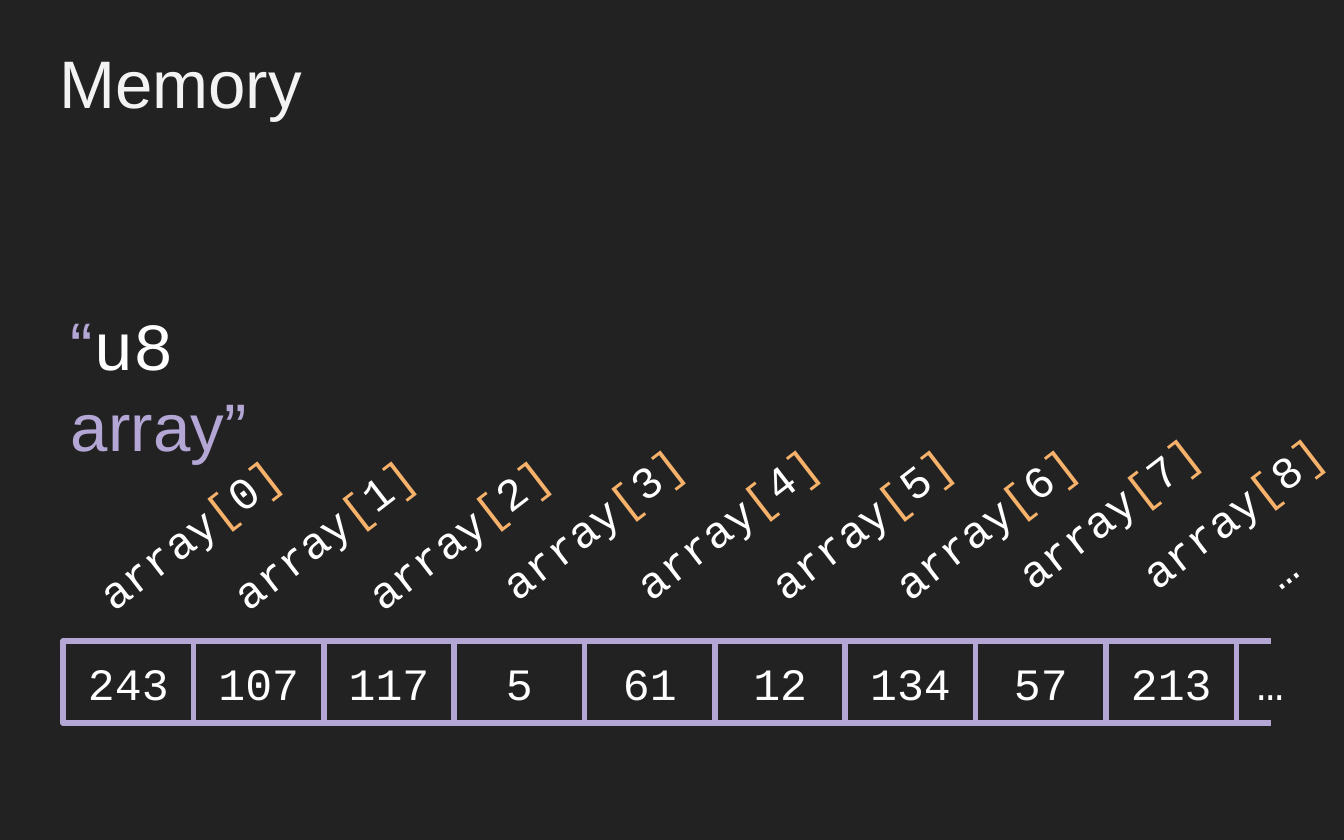
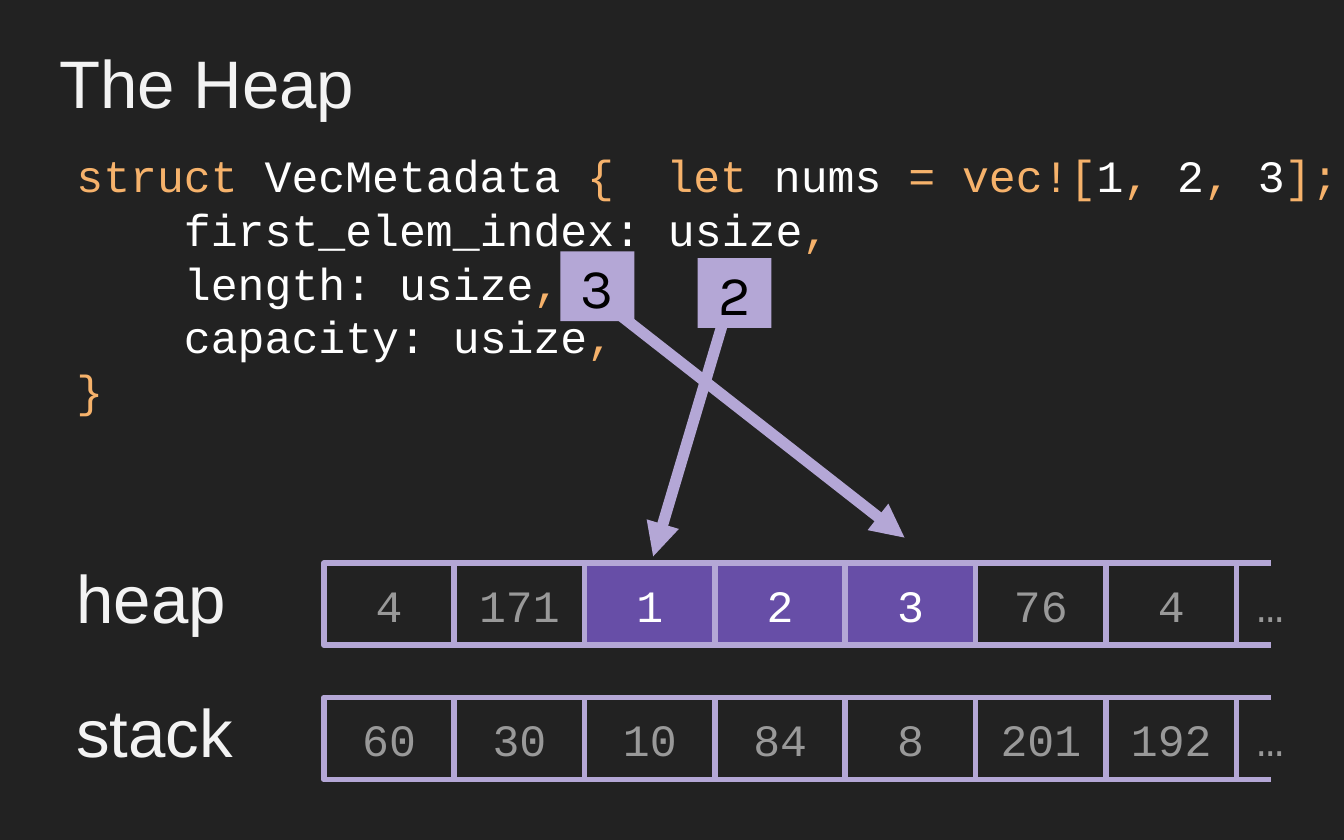
from pptx import Presentation
from pptx import util as u
from pptx.dml.color import RGBColor
from pptx.enum import shapes, text
from pptx.oxml.ns import qn
from lxml import etree

# Content
ARRAY_BYTES = ["243", "107", "117", "5", "61", "12", "134", "57", "213"]
ARRAY_LABELS = [f"|array|[|{i}|]" for i in range(len(ARRAY_BYTES))] + ["|…"]
MEMORY_ROWS = [  # label, bytes, columns in use, top
    ("heap", ["4", "171", "1", "2", "3", "76", "4"], {2, 3, 4}, 4.19),
    ("stack", ["60", "30", "10", "84", "8", "201", "192"], set(), 5.19),
]
# Code alternates between keyword and plain colour at each bar
STRUCT_CODE = [
    "struct |VecMetadata |{",
    "|    first_elem_index: usize|,",
    "|    length: usize|,",
    "|    capacity: usize|,",
    "}",
]
LET_CODE = ["let |nums |= vec![|1|,| 2|,| 3|];"]
ARROWS = [((4.34, 2.13), (6.73, 4)), ((5.48, 2.06), (4.86, 4.14))]
BADGES = [("2", 5.19, 1.92), ("3", 4.17, 1.87)]

# Style
COLORS = {
    "background": "222222", "title": "F3F3F3", "plain": "FFFFFF",
    "keyword": "F6B26B", "accent": "B4A7D6", "used": "674EA7",
    "muted": "999999", "badge": "000000",
}
HEADING = {"name": "Arial", "size": u.Pt(36)}
MONO = {"name": "Courier New", "size": u.Pt(24)}
BADGE = {"name": "Karla", "size": u.Pt(30)}
LEFT, CELL_W, CELL_H = 0.47, 0.97, 0.61
COLUMNS = 9
ROW_END = LEFT + COLUMNS * CELL_W


def color(name):
    return RGBColor.from_string(COLORS[name])


def inches(*lengths):
    return [u.Inches(length) for length in lengths]


def write(shape, paragraphs, centered=False):
    """Fill a shape with paragraphs of (words, colour, font) runs."""
    frame = shape.text_frame
    middle = text.MSO_ANCHOR.MIDDLE if centered else text.MSO_ANCHOR.TOP
    settings = {"word_wrap": True, "auto_size": text.MSO_AUTO_SIZE.NONE,
                "vertical_anchor": middle}
    for side in ("left", "top", "right", "bottom"):
        settings[f"margin_{side}"] = u.Inches(0.1)
    for key, value in settings.items():
        setattr(frame, key, value)
    for i, runs in enumerate(paragraphs):
        paragraph = frame.add_paragraph() if i else frame.paragraphs[0]
        paragraph.alignment = text.PP_ALIGN.CENTER if centered else text.PP_ALIGN.LEFT
        for words, tone, font in runs:
            run = paragraph.add_run()
            run.text = words
            run.font.color.rgb = color(tone)
            for key, value in font.items():
                setattr(run.font, key, value)


def add_text(parent, box, paragraphs, centered=False):
    label = parent.shapes.add_textbox(*inches(*box))
    write(label, paragraphs, centered)
    return label


def code_runs(line):
    return [(part, ("keyword", "plain")[i % 2], MONO)
            for i, part in enumerate(line.split("|")) if part]


def add_code(slide, box, lines):
    return add_text(slide, box, [code_runs(line) for line in lines])


def add_box(slide, box, words, tone, font, fill=None, outlined=True):
    cell = slide.shapes.add_shape(shapes.MSO_SHAPE.RECTANGLE, *inches(*box))
    cell.shadow.inherit = False
    if fill:
        cell.fill.solid()
        cell.fill.fore_color.rgb = color(fill)
    else:
        cell.fill.background()
    if outlined:
        cell.line.color.rgb = color("accent")
        cell.line.width = u.Pt(3)
    else:
        cell.line.fill.background()
    write(cell, [[(words, tone, font)]], centered=True)


def add_line(parent, start, end, width, arrow=False):
    line = parent.shapes.add_connector(
        shapes.MSO_CONNECTOR.STRAIGHT, *inches(*start, *end))
    line.line.color.rgb = color("accent")
    line.line.width = u.Pt(width)
    properties = line._element.spPr
    if arrow:
        etree.SubElement(properties.find(qn("a:ln")), qn("a:tailEnd"), type="triangle")
    etree.SubElement(properties, qn("a:effectLst"))


def add_memory_row(slide, values, top, tone, used=()):
    """Right-aligned row of cells that runs on past its last column."""
    tail = slide.shapes.add_group_shape()
    add_text(tail, (ROW_END + 0.01, top, CELL_W / 2, CELL_H),
             [[("…", tone, MONO)]], centered=True)
    for y in (top, top + CELL_H):
        add_line(tail, (ROW_END - 0.49, y), (ROW_END + 0.26, y), 3)
    first = COLUMNS - len(values)
    for i, value in enumerate(values):
        box = (LEFT + (first + i) * CELL_W, top, CELL_W, CELL_H)
        if i in used:
            add_box(slide, box, value, "plain", MONO, fill="used")
        else:
            add_box(slide, box, value, tone, MONO)


def add_slide(prs, heading):
    slide = prs.slides.add_slide(prs.slide_layouts[5])
    title = slide.shapes.title
    title.left, title.top, title.width, title.height = inches(0.34, 0.21, 6.08, 0.9)
    write(title, [[(heading, "title", HEADING)]])
    return slide


def build_memory(prs):
    slide = add_slide(prs, "Memory")
    add_memory_row(slide, ARRAY_BYTES, 4.77, "plain")
    add_text(slide, (0.43, 2.16, 2.3, 0.9), [[
        ("“", "accent", HEADING),
        ("u8", "plain", {**HEADING, "name": MONO["name"]}),
        (" array”", "accent", HEADING),
    ]])
    # Slanted labels: closer together after the sixth, rising in two steps
    for i, label in enumerate(ARRAY_LABELS):
        left = 0.51 + min(i, 5) + 0.92 * max(i - 5, 0)
        top = 3.62 - 0.08 * ((i >= 3) + (i >= 7))
        add_code(slide, (left, top, 1.93, 0.66), [label]).rotation = 322.4


def build_heap(prs):
    slide = add_slide(prs, "The Heap")
    add_code(slide, (LEFT, 1, 9.45, 2.35), STRUCT_CODE)
    for label, values, used, top in MEMORY_ROWS:
        add_memory_row(slide, values, top, "muted", used)
        add_text(slide, (LEFT, top - 0.15, 1.4, 0.9), [[(label, "title", HEADING)]])
    # Pointers into the heap
    for start, end in ARROWS:
        add_line(slide, start, end, 6, arrow=True)
    for number, left, top in BADGES:
        add_box(slide, (left, top, 0.55, 0.52), number, "badge", BADGE,
                fill="accent", outlined=False)
    add_code(slide, (4.86, 1, 5.25, CELL_H), LET_CODE)


def main():
    prs = Presentation()
    prs.slide_width, prs.slide_height = inches(10, 6.25)
    backdrop = prs.slide_master.background.fill
    backdrop.solid()
    backdrop.fore_color.rgb = color("background")
    build_memory(prs)
    build_heap(prs)
    prs.save("out.pptx")


if __name__ == "__main__":
    main()
